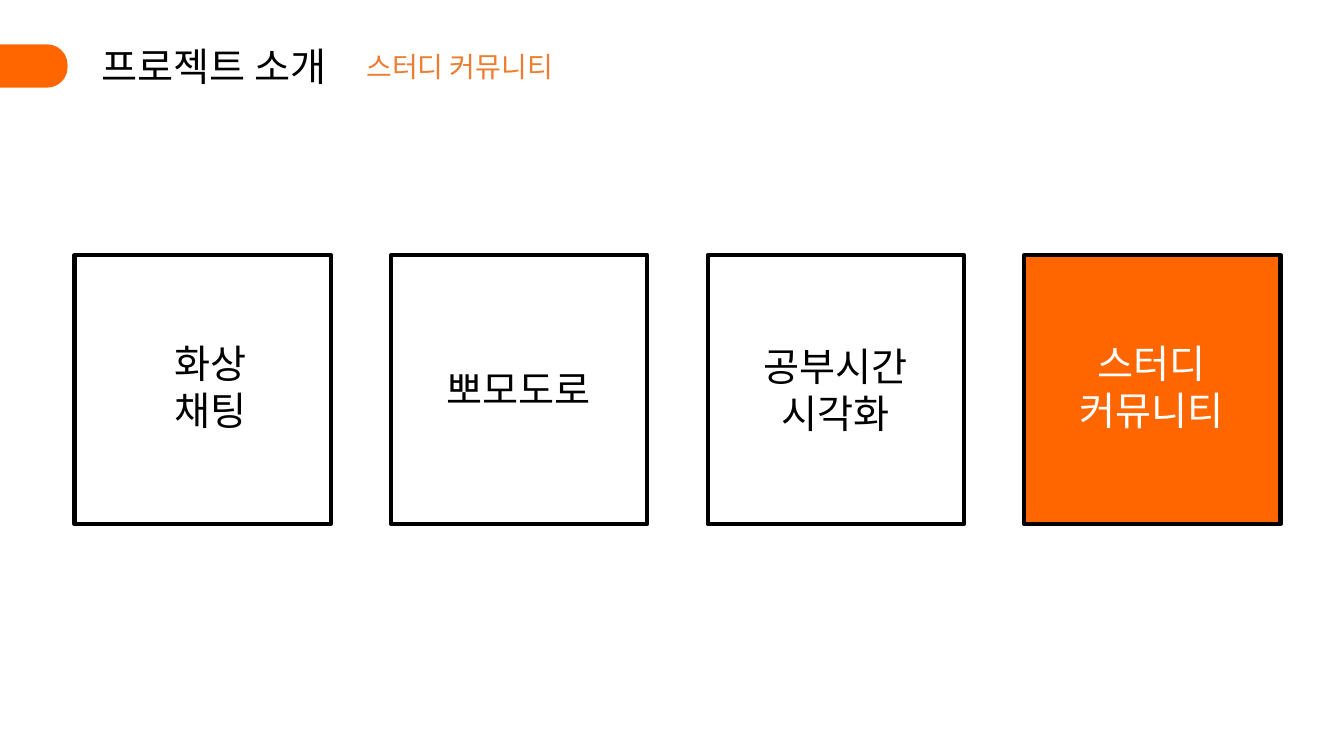
from lxml import etree
from pptx import Presentation
from pptx.dml.color import RGBColor
from pptx.enum.shapes import MSO_SHAPE
from pptx.enum.text import MSO_ANCHOR, MSO_AUTO_SIZE, PP_ALIGN
from pptx.oxml.ns import qn
from pptx.util import Inches, Pt

RECTANGLE, ROUNDED = MSO_SHAPE.RECTANGLE, MSO_SHAPE.ROUNDED_RECTANGLE
CENTER, TOP, NO_FIT = PP_ALIGN.CENTER, MSO_ANCHOR.TOP, MSO_AUTO_SIZE.NONE
FONT = "Noto Sans CJK KR"
ORANGE, BLACK, WHITE = "FF6600", "000000", "FFFFFF"


def color(hex_value):
    return RGBColor.from_string(hex_value)


def write(text, place, holder=None, size=28, ink=BLACK):
    """Write centred lines in a placeholder or in a new text box."""
    box = holder or slide.shapes.add_textbox(0, 0, 0, 0)
    box.left, box.top, box.width, box.height = map(Inches, place)
    frame = box.text_frame
    frame.word_wrap, frame.auto_size, frame.vertical_anchor = True, NO_FIT, TOP
    frame.text = text
    for paragraph in frame.paragraphs:
        paragraph.alignment = CENTER
        for run in paragraph.runs:
            run.font.name, run.font.size = FONT, Pt(size)
            run.font.color.rgb = color(ink)
            east_asian = etree.SubElement(run.font._element, qn("a:ea"))
            east_asian.set("typeface", FONT)


prs = Presentation()
prs.slide_width, prs.slide_height = Inches(13.33), Inches(7.5)
slide = prs.slides.add_slide(prs.slide_layouts[5])

# Header: orange tab, title and current topic
tab = slide.shapes.add_shape(ROUNDED, Inches(-0.67), Inches(0.44), Inches(1.34), Inches(0.43))
tab.adjustments[0] = 0.47
tab.shadow.inherit = False
tab.fill.solid()
tab.fill.fore_color.rgb = color(ORANGE)
tab.line.fill.background()
write("프로젝트 소개", (0.67, 0.37, 2.9, 0.57), holder=slide.shapes.title)
write("스터디 커뮤니티", (3.38, 0.44, 2.36, 0.44), size=20, ink="ED7D31")

# Feature cards: label, label place, highlighted
features = [
    ("화상채팅", (1.52, 3.32, 1.14, 1.04), False),
    ("뽀모도로", (4.15, 3.58, 1.99, 0.57), False),
    ("공부시간\n시각화", (7.29, 3.35, 1.99, 1.04), False),
    ("스터디\n커뮤니티", (10.43, 3.32, 1.99, 1.04), True),
]
for column, (label, place, highlighted) in enumerate(features):
    card = slide.shapes.add_shape(
        RECTANGLE, Inches(0.74 + 3.14 * column), Inches(2.53), Inches(2.54), Inches(2.67))
    card.shadow.inherit = False
    card.line.color.rgb = color(BLACK)
    card.line.width = Pt(3)
    if highlighted:
        card.fill.solid()
        card.fill.fore_color.rgb = color(ORANGE)
    else:
        card.fill.background()
    write(label, place, ink=WHITE if highlighted else BLACK)

prs.save("out.pptx")
